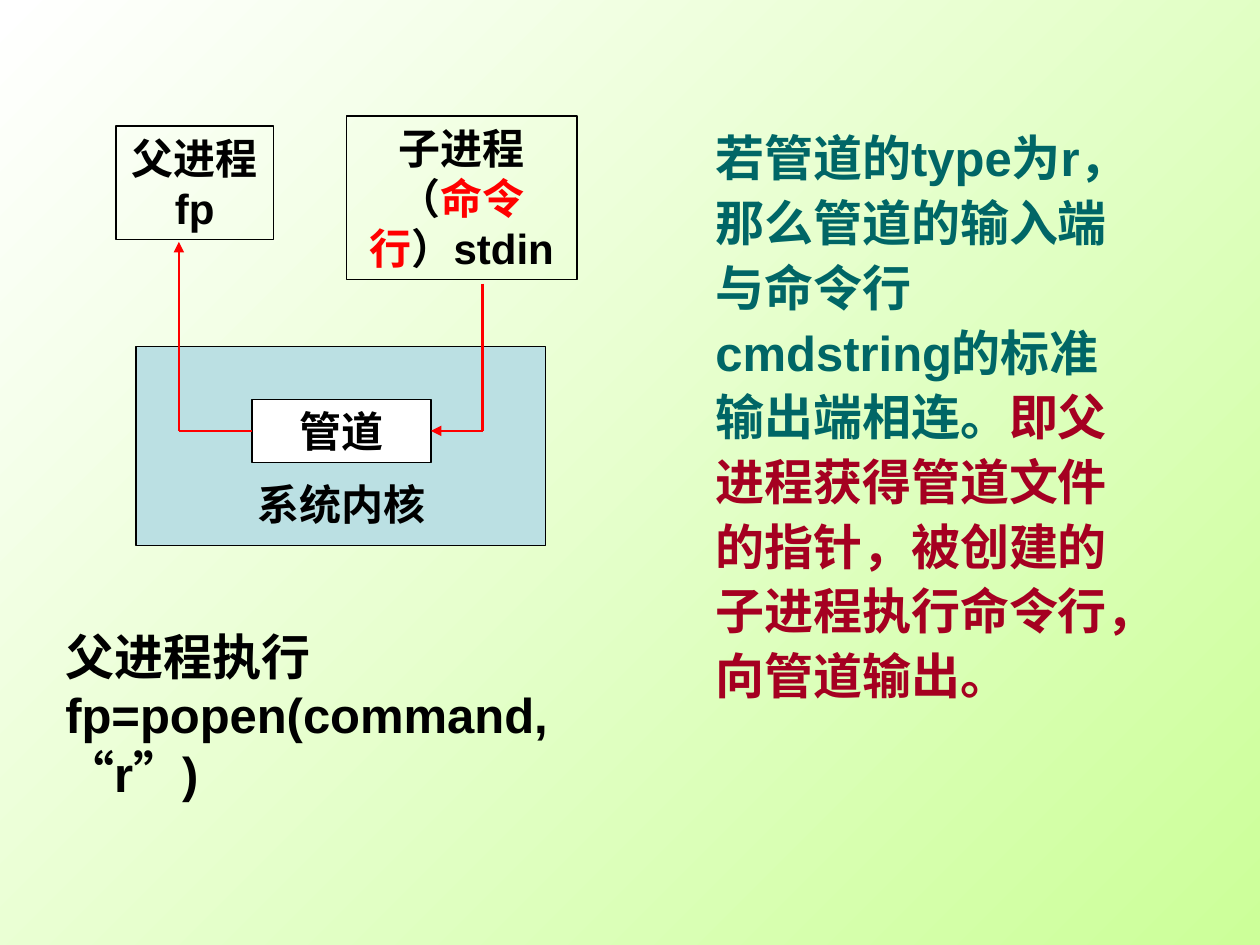
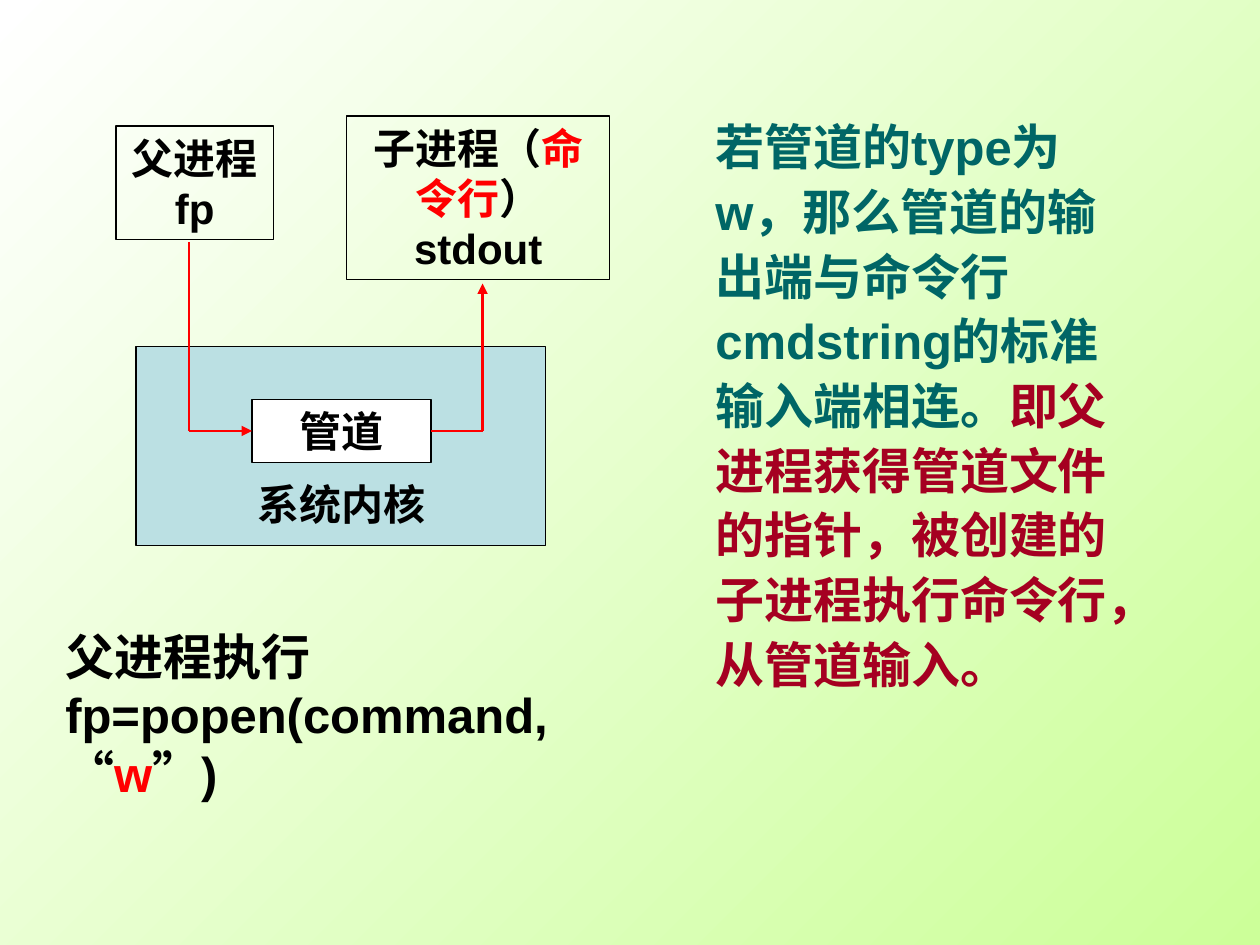
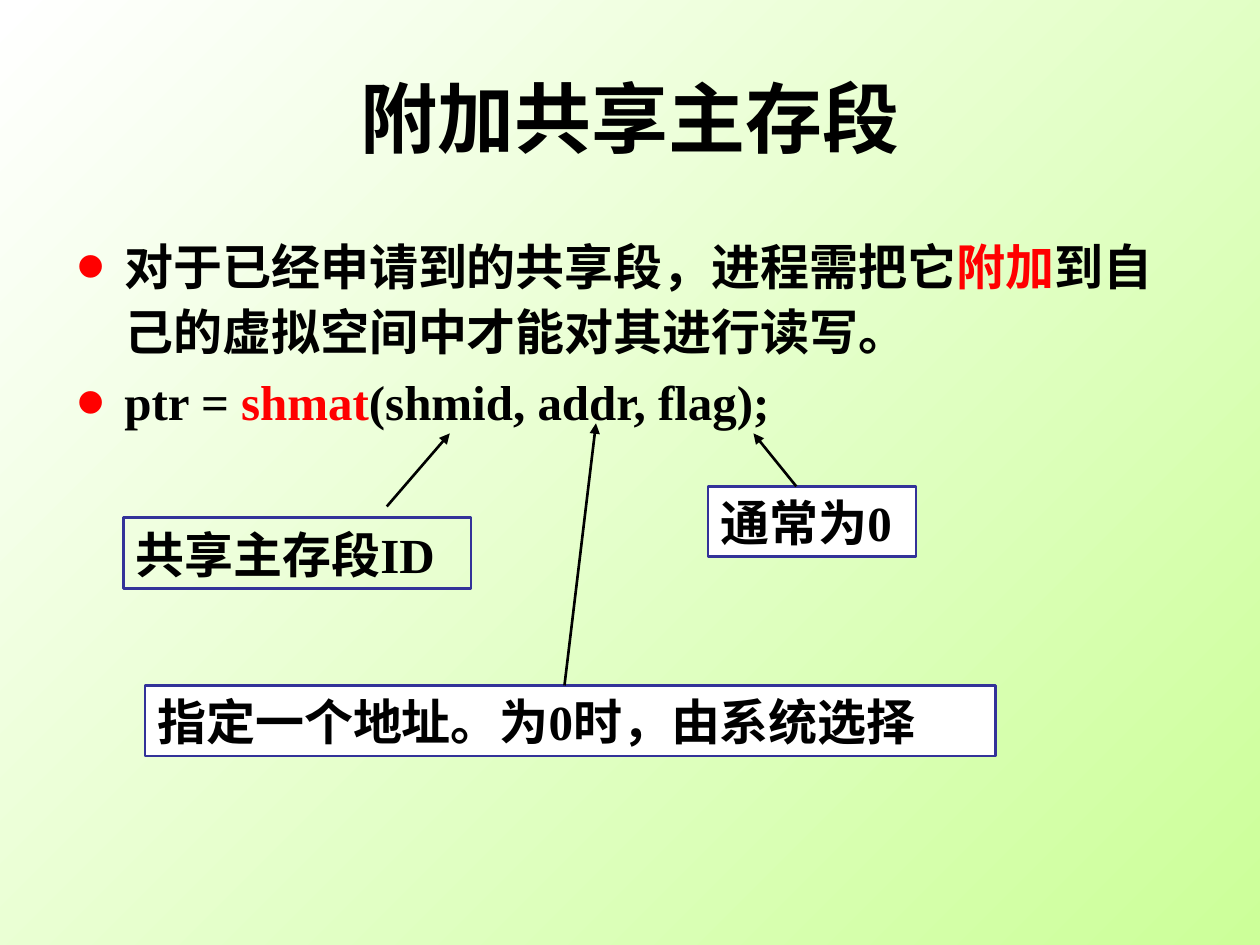
from dataclasses import dataclass
from itertools import pairwise

from lxml import etree
from pptx import Presentation
from pptx.dml.color import RGBColor
from pptx.enum.shapes import MSO_CONNECTOR, MSO_SHAPE
from pptx.enum.text import MSO_ANCHOR, MSO_AUTO_SIZE, PP_ALIGN
from pptx.oxml.ns import qn
from pptx.util import Inches, Pt

TITLE_ONLY_LAYOUT = 5
BLANK_LAYOUT = 6


@dataclass(frozen=True)
class Theme:
    black: str = "000000"
    white: str = "FFFFFF"
    green: str = "CCFF99"
    red: str = "FF0000"
    teal: str = "006666"
    crimson: str = "A50021"
    kernel: str = "BBE0E3"
    callout: str = "333399"
    sans: str = "Arial"
    serif: str = "Times New Roman"
    title_size: int = 44
    body_size: int = 28
    label_size: int = 24
    thin: float = 0.75
    thick: float = 1.5
    loose: float = 1.1


THEME = Theme()


def color(value):
    return RGBColor.from_string(value)


def place(shape, box):
    shape.left, shape.top, shape.width, shape.height = map(Inches, box)


def paint_background(master):
    fill = master.background.fill
    fill.gradient()
    fill.gradient_angle = 315
    for stop, value in zip(fill.gradient_stops, (THEME.white, THEME.green)):
        stop.color.rgb = color(value)


def write_runs(paragraph, runs, size, font=THEME.sans):
    """Add bold runs; each is plain text or a (text, colour) pair."""
    for item in runs:
        text, value = (item, THEME.black) if isinstance(item, str) else item
        run = paragraph.add_run()
        run.text = text
        run.font.name = font
        run.font.size = Pt(size)
        run.font.bold = True
        run.font.color.rgb = color(value)


def add_text(slide, box, runs, size=THEME.body_size, align=PP_ALIGN.LEFT, spacing=None):
    shape = slide.shapes.add_textbox(*map(Inches, box))
    shape.text_frame.word_wrap = True
    shape.text_frame.auto_size = MSO_AUTO_SIZE.SHAPE_TO_FIT_TEXT
    paragraph = shape.text_frame.paragraphs[0]
    paragraph.alignment = align
    paragraph.line_spacing = spacing
    write_runs(paragraph, runs, size)


def add_rectangle(slide, box, fill=None, line=THEME.black, width=THEME.thin):
    shape = slide.shapes.add_shape(MSO_SHAPE.RECTANGLE, *map(Inches, box))
    shape.shadow.inherit = False
    if fill:
        shape.fill.solid()
        shape.fill.fore_color.rgb = color(fill)
    else:
        shape.fill.background()
    shape.line.color.rgb = color(line)
    shape.line.width = Pt(width)
    return shape


def fill_rectangle(shape, runs, size, font, align, wrap=True):
    frame = shape.text_frame
    frame.word_wrap = wrap
    frame.auto_size = MSO_AUTO_SIZE.SHAPE_TO_FIT_TEXT
    frame.vertical_anchor = MSO_ANCHOR.TOP
    paragraph = frame.paragraphs[0]
    paragraph.alignment = align
    write_runs(paragraph, runs, size, font)


def add_node(slide, box, runs, fill=None):
    shape = add_rectangle(slide, box, fill)
    fill_rectangle(shape, runs, THEME.label_size, THEME.sans, PP_ALIGN.CENTER)


def add_callout(slide, box, text, fill=THEME.white, wrap=True):
    shape = add_rectangle(slide, box, fill, THEME.callout, THEME.thick)
    fill_rectangle(shape, [text], THEME.body_size, THEME.serif, PP_ALIGN.LEFT, wrap)


def add_arrow(slide, points, line=THEME.black):
    """Join the points with straight segments, with an arrowhead on the last."""
    for start, end in pairwise(points):
        connector = slide.shapes.add_connector(
            MSO_CONNECTOR.STRAIGHT, *map(Inches, (*start, *end)))
        connector.line.color.rgb = color(line)
        connector.line.width = Pt(THEME.thick)
        properties = connector._element.spPr
        etree.SubElement(properties, qn("a:effectLst"))
    etree.SubElement(properties.find(qn("a:ln")), qn("a:tailEnd"), type="triangle")


def add_bullet(paragraph):
    properties = paragraph._p.get_or_add_pPr()
    properties.set("marL", str(Inches(0.38)))
    properties.set("indent", str(-Inches(0.38)))
    bullet_color = etree.SubElement(properties, qn("a:buClr"))
    etree.SubElement(bullet_color, qn("a:srgbClr"), val=THEME.red)
    etree.SubElement(properties, qn("a:buSzPct"), val="170000")
    etree.SubElement(properties, qn("a:buFont"), typeface=THEME.sans)
    etree.SubElement(properties, qn("a:buChar"), char="•")


def add_bullets(slide, box, items):
    """Write one bulleted paragraph for each (font, runs) pair."""
    frame = slide.shapes.add_textbox(*map(Inches, box)).text_frame
    frame.word_wrap = True
    for index, (font, runs) in enumerate(items):
        paragraph = frame.add_paragraph() if index else frame.paragraphs[0]
        add_bullet(paragraph)
        paragraph.line_spacing = THEME.loose
        if index:
            paragraph.space_before = Pt(3.5)
        write_runs(paragraph, runs, THEME.body_size, font)


def add_title(slide, text):
    title = slide.shapes.title
    place(title, (0.5, 0.3, 9, 1.25))
    title.text_frame.vertical_anchor = MSO_ANCHOR.MIDDLE
    paragraph = title.text_frame.paragraphs[0]
    paragraph.alignment = PP_ALIGN.CENTER
    write_runs(paragraph, [text], THEME.title_size)


def add_pipe_slide(presentation, stream, child_width, routes, call, call_width,
                   explanation, explanation_top):
    slide = presentation.slides.add_slide(presentation.slide_layouts[BLANK_LAYOUT])
    add_node(slide, (0.92, 1, 1.25, 0.9), ["父进程fp"])
    add_node(slide, (2.75, 0.92, child_width, 1.3),
             ["子进程（", ("命令行", THEME.red), f"）{stream}"])
    add_rectangle(slide, (1.08, 2.75, 3.25, 1.58), THEME.kernel)
    add_text(slide, (1.92, 3.75, 1.58, 0.5), ["系统内核"],
             THEME.label_size, PP_ALIGN.CENTER)
    add_node(slide, (2, 3.17, 1.42, 0.5), ["管道"], THEME.white)
    for route in routes:
        add_arrow(slide, route, THEME.red)
    add_text(slide, (0.42, 4.92, call_width, 1.5), call)
    connection, meaning = explanation
    add_text(slide, (5.58, explanation_top, 3.58, 4.72),
             [(connection, THEME.teal), (meaning, THEME.crimson)],
             spacing=THEME.loose)


def add_read_slide(presentation):
    add_pipe_slide(
        presentation, "stdin", 1.83,
        routes=[[(2, 3.42), (1.42, 3.42), (1.42, 1.92)],
                [(3.83, 2.25), (3.83, 3.42), (3.42, 3.42)]],
        call=["父进程执行fp=popen(command, “r”)"], call_width=4.92,
        explanation=("若管道的type为r，那么管道的输入端与命令行cmdstring的标准输出端相连。",
                     "即父进程获得管道文件的指针，被创建的子进程执行命令行，向管道输出。"),
        explanation_top=0.92)


def add_write_slide(presentation):
    add_pipe_slide(
        presentation, "stdout", 2.09,
        routes=[[(1.5, 1.92), (1.5, 3.42), (2, 3.42)],
                [(3.42, 3.42), (3.83, 3.42), (3.83, 2.25)]],
        call=["父进程执行fp=popen(command, “", ("w", THEME.red), "”)"], call_width=5.08,
        explanation=("若管道的type为w，那么管道的输出端与命令行cmdstring的标准输入端相连。",
                     "即父进程获得管道文件的指针，被创建的子进程执行命令行，从管道输入。"),
        explanation_top=0.83)


def add_shared_memory_slide(presentation):
    slide = presentation.slides.add_slide(presentation.slide_layouts[TITLE_ONLY_LAYOUT])
    add_title(slide, "附加共享主存段")
    add_bullets(slide, (0.51, 1.78, 9, 4.95), [
        (THEME.sans, ["对于已经申请到的共享段，进程需把它", ("附加", THEME.red),
                      "到自己的虚拟空间中才能对其进行读写。"]),
        (THEME.serif, ["ptr = ", ("shmat", THEME.red), "(shmid, addr, flag);"]),
    ])
    add_callout(slide, (0.98, 4.11, 2.76, 0.56), "共享主存段ID", fill=None)
    add_callout(slide, (5.62, 3.86, 1.65, 0.56), "通常为0", wrap=False)
    add_callout(slide, (1.15, 5.44, 6.75, 0.56), "指定一个地址。为0时，由系统选择")
    add_arrow(slide, [(3.07, 4.02), (3.57, 3.44)])
    add_arrow(slide, [(6.32, 3.86), (5.98, 3.44)])
    add_arrow(slide, [(4.48, 5.44), (4.73, 3.36)])


def main():
    presentation = Presentation()
    presentation.slide_width = Inches(10)
    presentation.slide_height = Inches(7.5)
    paint_background(presentation.slide_master)
    add_read_slide(presentation)
    add_write_slide(presentation)
    add_shared_memory_slide(presentation)
    presentation.save("out.pptx")


if __name__ == "__main__":
    main()
